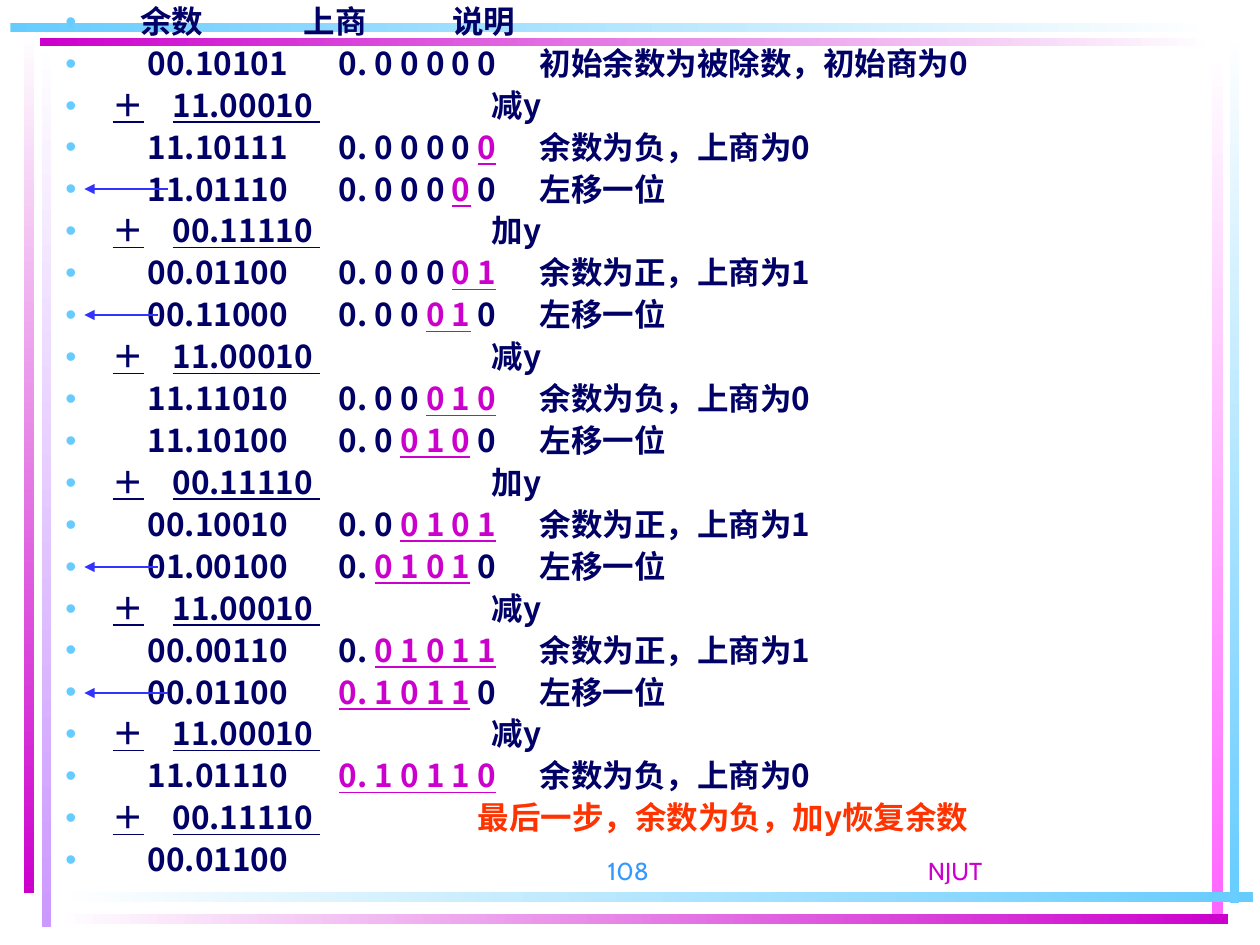
"""Build the slide that divides step by step with alternating remainders."""
from dataclasses import dataclass

from lxml.etree import SubElement
from pptx import Presentation
from pptx.dml.color import RGBColor
from pptx.enum.shapes import MSO_CONNECTOR, MSO_SHAPE
from pptx.enum.text import MSO_ANCHOR, PP_ALIGN
from pptx.oxml.ns import qn
from pptx.util import Cm, Pt


@dataclass(frozen=True)
class Theme:
    body_font: str = "Noto Sans CJK SC"
    footer_font: str = "Cabin"
    body_size: int = 18
    footer_size: int = 14
    ink: str = "000066"
    magenta: str = "CC00CC"
    sky: str = "66CCFF"
    lilac: str = "CC99FF"
    pink: str = "FF66FF"
    white: str = "FFFFFF"
    warning: str = "FF3300"
    shift: str = "3333FF"
    page: str = "3399FF"


THEME = Theme()

HEADER_STOPS = (1.51, 4.8, 7.8)
STATE_STOPS = (1.66, 5.51, 9.56)
ADD_STOPS = (2.16, 8.59)
RESTORE_STOPS = (2.16, 8.31)

NEGATIVE, POSITIVE, SHIFTED = "余数为负，上商为0", "余数为正，上商为1", "左移一位"
MINUS_Y, PLUS_Y = ("11.00010", "减y"), ("00.11110", "加y")

STEPS = [
    ("00.10101", "0. 0 0 0 0 0", "初始余数为被除数，初始商为0"),
    MINUS_Y,
    ("11.10111", "0. 0 0 0 0 [0]", NEGATIVE),
    ("11.01110", "0. 0 0 0 [0] 0", SHIFTED),
    PLUS_Y,
    ("00.01100", "0. 0 0 0 [0 1]", POSITIVE),
    ("00.11000", "0. 0 0 [0 1] 0", SHIFTED),
    MINUS_Y,
    ("11.11010", "0. 0 0 [0 1 0]", NEGATIVE),
    ("11.10100", "0. 0 [0 1 0] 0", SHIFTED),
    PLUS_Y,
    ("00.10010", "0. 0 [0 1 0 1]", POSITIVE),
    ("01.00100", "0. [0 1 0 1] 0", SHIFTED),
    MINUS_Y,
    ("00.00110", "0. [0 1 0 1 1]", POSITIVE),
    ("00.01100", "[0. 1 0 1 1] 0", SHIFTED),
    MINUS_Y,
    ("11.01110", "[0. 1 0 1 1 0]", NEGATIVE),
]

VERTICAL_BARS = [
    (0.84, 0.71, 0.2, 17.98, THEME.lilac),
    (0.48, 0.64, 0.2, 17.37, THEME.magenta),
    (24.79, 0.61, 0.18, 17.6, THEME.sky),
    (24.43, 1.07, 0.23, 17.35, THEME.pink),
]
BOTTOM_BARS = [
    (1.14, 17.98, 24.13, 0.2, THEME.sky),
    (1.14, 18.42, 23.62, 0.2, THEME.magenta),
]
TOP_BARS = [
    (0.81, 0.77, 23.67, 0.15, THEME.magenta),
    (0.21, 0.47, 24.28, 0.18, THEME.sky),
]
SHIFT_ARROWS = [(3.38, 3.81), (3.18, 6.35), (3.18, 11.43), (3.38, 13.97)]


class SlideBuilder:
    def __init__(self, slide, theme):
        self.slide = slide
        self.theme = theme

    def bar(self, left, top, width, height, start, end, angle):
        bar = self.slide.shapes.add_shape(
            MSO_SHAPE.RECTANGLE, Cm(left), Cm(top), Cm(width), Cm(height))
        bar.shadow.inherit = False
        bar.line.fill.background()
        bar.fill.gradient()
        bar.fill.gradient_angle = angle
        for stop, color in zip(bar.fill.gradient_stops, (start, end)):
            stop.color.rgb = RGBColor.from_string(color)

    def text_frame(self, left, top, width, height, anchor):
        frame = self.slide.shapes.add_textbox(
            Cm(left), Cm(top), Cm(width), Cm(height)).text_frame
        frame.word_wrap = True
        frame.vertical_anchor = anchor
        return frame

    def set_font(self, paragraph, name, size, color, bold=False):
        font = paragraph.font
        font.name, font.size, font.bold = name, Pt(size), bold
        font.color.rgb = RGBColor.from_string(color)
        SubElement(paragraph._p.pPr.find(qn("a:defRPr")), qn("a:ea"), typeface=name)

    def footer(self, left, width, text, color, alignment):
        frame = self.text_frame(left, 16.71, width, 1.27, MSO_ANCHOR.BOTTOM)
        label = frame.paragraphs[0]
        label.alignment = alignment
        label.add_run().text = text
        self.set_font(label, self.theme.footer_font, self.theme.footer_size, color)

    def line(self, frame, stops, pieces):
        first = not frame.paragraphs[0].runs
        line = frame.paragraphs[0] if first else frame.add_paragraph()
        line.alignment = PP_ALIGN.JUSTIFY
        line.line_spacing = 0.9
        if not first:
            line.space_before = Pt(4.5)
        properties = line._p.get_or_add_pPr()
        properties.set("marL", str(Cm(0.95)))
        properties.set("indent", str(Cm(-0.95)))
        SubElement(SubElement(properties, qn("a:buClr")), qn("a:srgbClr"), val=self.theme.sky)
        SubElement(properties, qn("a:buFont"), typeface="Arial")
        SubElement(properties, qn("a:buChar"), char="•")
        tabs = SubElement(properties, qn("a:tabLst"))
        for stop in stops:
            SubElement(tabs, qn("a:tab"), pos=str(Cm(stop)), algn="l")
        self.set_font(line, self.theme.body_font, self.theme.body_size, self.theme.ink, True)
        for text, color, underlined in pieces:
            if text:
                run = line.add_run()
                run.text = text
                if underlined:
                    run.font.underline = True
                if color != self.theme.ink:
                    run.font.color.rgb = RGBColor.from_string(color)

    def state(self, frame, remainder, quotient, note):
        before, _, rest = quotient.partition("[")
        found, _, after = rest.partition("]")
        ink = self.theme.ink
        self.line(frame, STATE_STOPS, [
            (f"\t{remainder}\t{before}", ink, False),
            (found, self.theme.magenta, True),
            (f"{after}\t{note}", ink, False)])

    def addition(self, frame, stops, addend, note, color):
        self.line(frame, stops, [
            (f"＋\t{addend} ", self.theme.ink, True), (f"\t{note}", color, False)])

    def arrow(self, start, end, y):
        arrow = self.slide.shapes.add_connector(
            MSO_CONNECTOR.STRAIGHT, Cm(start), Cm(y), Cm(end), Cm(y))
        arrow.line.color.rgb = RGBColor.from_string(self.theme.shift)
        arrow.line.width = Pt(0.75)
        SubElement(arrow.line._get_or_add_ln(), qn("a:tailEnd"), type="triangle")
        SubElement(arrow._element.spPr, qn("a:effectLst"))


def main():
    deck = Presentation()
    deck.slide_width, deck.slide_height = Cm(25.4), Cm(19.05)
    builder = SlideBuilder(deck.slides.add_slide(deck.slide_layouts[6]), THEME)

    for *place, color in VERTICAL_BARS:
        builder.bar(*place, THEME.white, color, 270)
    for *place, color in BOTTOM_BARS:
        builder.bar(*place, THEME.white, color, 0)
    for *place, color in TOP_BARS:
        builder.bar(*place, color, THEME.white, 0)

    builder.footer(14.81, 8.89, "NJUT", THEME.magenta, PP_ALIGN.CENTER)
    builder.footer(8.05, 5.28, "108", THEME.page, PP_ALIGN.RIGHT)

    division = builder.text_frame(1.07, 0, 23.29, 17.98, MSO_ANCHOR.TOP)
    builder.line(division, HEADER_STOPS, [("\t余数\t上商\t说明", THEME.ink, False)])
    for step in STEPS:
        if len(step) == 3:
            builder.state(division, *step)
        else:
            builder.addition(division, ADD_STOPS, *step, THEME.ink)
    builder.addition(division, RESTORE_STOPS, "00.11110",
                     "最后一步，余数为负，加y恢复余数", THEME.warning)
    builder.line(division, STATE_STOPS, [("\t00.01100", THEME.ink, False)])

    for start, y in SHIFT_ARROWS:
        builder.arrow(start, 1.7, y)
    deck.save("out.pptx")


if __name__ == "__main__":
    main()
